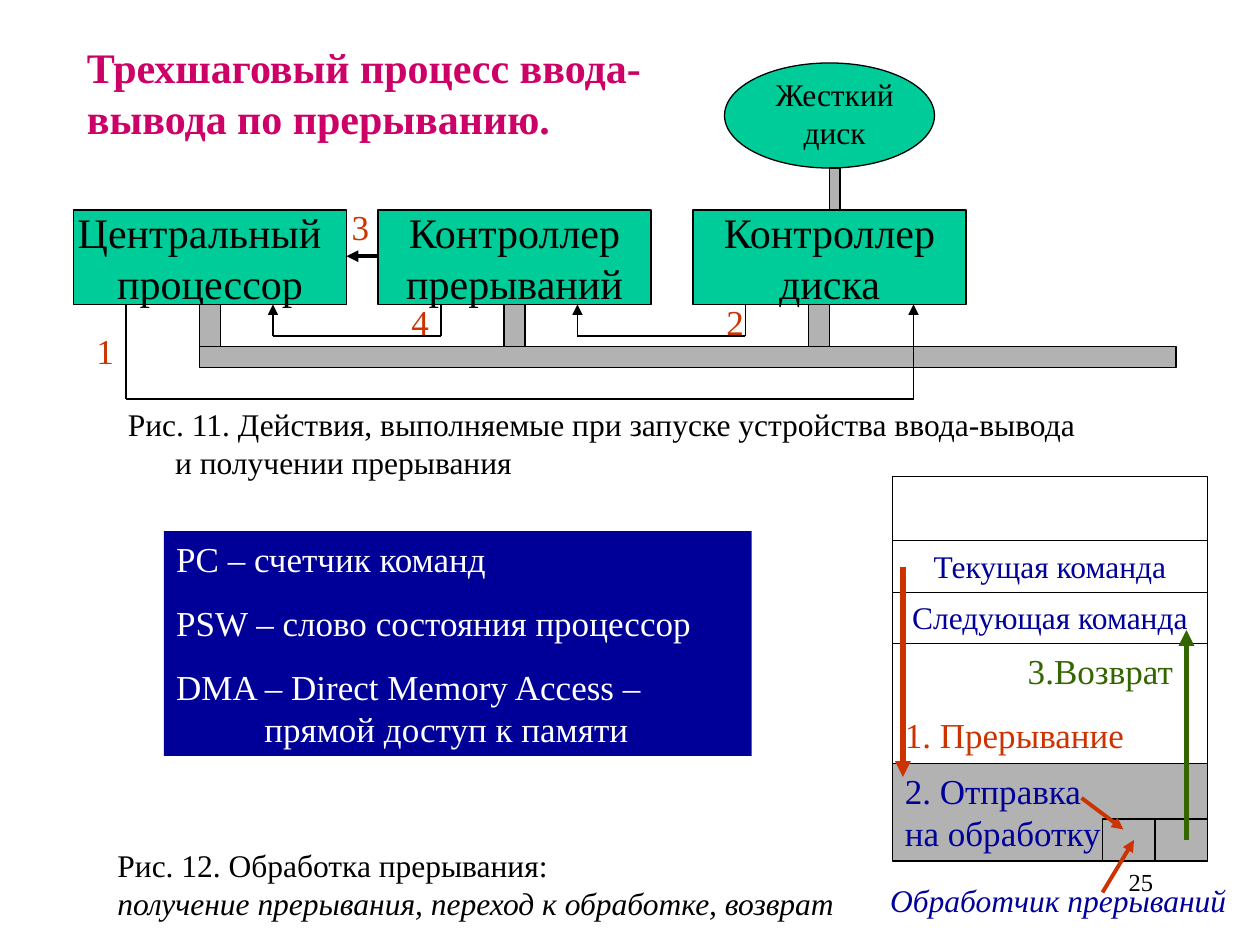
from dataclasses import dataclass
from itertools import pairwise

import pptx
import pptx.dml.color
import pptx.enum.shapes
import pptx.enum.text
import pptx.oxml
import pptx.oxml.ns
import pptx.util

COLUMNS, ROWS = 120, 90
FONT = "Times New Roman"
BLACK, WHITE, GRAY, GREEN = "000000", "FFFFFF", "B2B2B2", "00CC99"
RED, NAVY, OLIVE, CRIMSON = "CC3300", "000099", "336600", "CC0066"
RECT = pptx.enum.shapes.MSO_SHAPE.RECTANGLE
OVAL = pptx.enum.shapes.MSO_SHAPE.OVAL
LEFT = pptx.enum.text.PP_ALIGN.LEFT
CENTER = pptx.enum.text.PP_ALIGN.CENTER
RIGHT = pptx.enum.text.PP_ALIGN.RIGHT
TOP = pptx.enum.text.MSO_ANCHOR.TOP
MIDDLE = pptx.enum.text.MSO_ANCHOR.MIDDLE

deck = pptx.Presentation()
deck.slide_width = pptx.util.Inches(10)
deck.slide_height = pptx.util.Inches(7.5)
slide = deck.slides.add_slide(deck.slide_layouts[6])


@dataclass(frozen=True)
class Area:
    column: float
    row: float
    columns: float
    rows: float


@dataclass(frozen=True)
class Phrase:
    text: str
    size: float = 18
    color: str = BLACK
    align: int = LEFT
    before: float = 0
    indent: float = 0
    hanging: bool = False
    right: float = 0
    bold: bool = False
    italic: bool = False


@dataclass(frozen=True)
class Route:
    points: list[tuple[float, float]]
    color: str = BLACK
    width: float = 0.75


def across(columns: float) -> int:
    return round(deck.slide_width * columns / COLUMNS)


def down(rows: float) -> int:
    return round(deck.slide_height * rows / ROWS)


def place(area: Area) -> tuple[int, int, int, int]:
    return across(area.column), down(area.row), across(area.columns), down(area.rows)


def rgb(color: str) -> pptx.dml.color.RGBColor:
    return pptx.dml.color.RGBColor.from_string(color)


def write(frame, phrases: list[Phrase], anchor=TOP, inset: float = 0.1) -> None:
    frame.word_wrap = True
    frame.vertical_anchor = anchor
    frame.margin_left = frame.margin_right = pptx.util.Inches(inset)
    frame.margin_top = frame.margin_bottom = pptx.util.Inches(inset / 2)
    for index, phrase in enumerate(phrases):
        paragraph = frame.add_paragraph() if index else frame.paragraphs[0]
        paragraph.text = phrase.text
        paragraph.alignment = phrase.align
        paragraph.space_before = pptx.util.Pt(phrase.before)
        properties = paragraph._p.get_or_add_pPr()
        properties.set("marL", str(across(phrase.indent)))
        properties.set("marR", str(across(phrase.right)))
        properties.set("indent", str(-across(phrase.indent) if phrase.hanging else 0))
        font = paragraph.font
        font.name = FONT
        font.size = pptx.util.Pt(phrase.size)
        font.bold = phrase.bold
        font.italic = phrase.italic
        font.color.rgb = rgb(phrase.color)


def label(area: Area, *phrases: Phrase) -> None:
    write(slide.shapes.add_textbox(*place(area)).text_frame, list(phrases))


def block(area: Area, fill: str | None = None, phrases: list[Phrase] | None = None,
          kind=RECT, outlined: bool = True, anchor=TOP, inset: float = 0.1) -> None:
    shape = slide.shapes.add_shape(kind, *place(area))
    shape.shadow.inherit = False
    if fill:
        shape.fill.solid()
        shape.fill.fore_color.rgb = rgb(fill)
    else:
        shape.fill.background()
    if outlined:
        shape.line.color.rgb = rgb(BLACK)
        shape.line.width = pptx.util.Pt(0.75)
    else:
        shape.line.fill.background()
    if phrases:
        write(shape.text_frame, phrases, anchor, inset)


def draw(route: Route) -> None:
    for start, end in pairwise(route.points):
        line = slide.shapes.add_connector(
            pptx.enum.shapes.MSO_CONNECTOR.STRAIGHT,
            across(start[0]), down(start[1]), across(end[0]), down(end[1]))
        line.line.color.rgb = rgb(route.color)
        line.line.width = pptx.util.Pt(route.width)
        properties = line._element.spPr
        if end == route.points[-1]:
            head = pptx.oxml.parse_xml(
                f'<a:tailEnd {pptx.oxml.ns.nsdecls("a")} type="triangle"/>')
            line.line._get_or_add_ln().append(head)
        properties.append(pptx.oxml.parse_xml(
            f'<a:effectLst {pptx.oxml.ns.nsdecls("a")}/>'))


def loop(start: float, end: float, bottom: float) -> Route:
    return Route([(start, 29), (start, bottom), (end, bottom), (end, 29)])


def draw_devices() -> None:
    devices = [
        (7, "Центральный", "процессор", 2),
        (36, "Контроллер", "прерываний", 0),
        (66, "Контроллер", "диска", 0),
    ]
    for column, first, second, shift in devices:
        block(Area(column, 20, 26, 9), GREEN,
              [Phrase(first, 24, align=CENTER, right=shift),
               Phrase(second, 24, align=CENTER)], anchor=MIDDLE, inset=0)
    block(Area(69, 6, 20, 10), GREEN, kind=OVAL)
    label(Area(70, 6.6, 19, 8.4), Phrase("Жесткий диск", align=CENTER))
    block(Area(79, 16, 1, 4), GRAY)
    block(Area(19, 33, 93, 2), GRAY)
    for column in (19, 48, 77):
        block(Area(column, 29, 2, 4), GRAY)
    draw(Route([(36, 24.4), (33, 24.4)], width=2.25))
    for route in (loop(42, 26, 32), loop(71, 55, 32), loop(12, 87, 38)):
        draw(route)
    steps = [("1", 8, 30.8), ("2", 68, 28), ("3", 32.3, 19), ("4", 38, 28)]
    for step, column, row in steps:
        label(Area(column, row, 3, 5.3), Phrase(step, 20, RED))


def draw_memory() -> None:
    cells = [
        (6.1, None, []),
        (4.9, None, [Phrase("Текущая команда", 18, NAVY, CENTER)]),
        (4.9, None, [Phrase("Следующая команда", 18, NAVY, CENTER)]),
        (11.4, None, [Phrase("3.Возврат", 20, OLIVE, indent=11.7),
                      Phrase("1. Прерывание", 20, RED, before=12.5)]),
        (9.3, GRAY, [Phrase("2. Отправка\nна обработку", 20, NAVY)]),
    ]
    row = 45.4
    for rows, fill, phrases in cells:
        block(Area(85, row, 30, rows), fill, phrases)
        row += rows
    for column in (105, 110):
        block(Area(column, 78, 5, 4))
    label(Area(83.6, 83.3, 35.6, 4.8),
          Phrase("Обработчик прерываний", 18, NAVY, italic=True))
    for route in (
        Route([(103, 76), (107, 79)], RED, 2.25),
        Route([(105, 85), (108, 80)], RED, 2.25),
        Route([(86, 54), (86, 74)], RED, 3),
        Route([(113, 80), (113, 60)], OLIVE, 3),
    ):
        draw(route)


def draw_texts() -> None:
    label(Area(7.1, 3.4, 57.6, 10.8),
          Phrase("Трехшаговый процесс ввода-\nвывода по прерыванию.", 24, CRIMSON, bold=True))
    label(Area(11, 38, 101, 8.4),
          Phrase("Рис. 11. Действия, выполняемые при запуске устройства ввода-вывода\n"
                 "и получении прерывания", indent=4.5, hanging=True))
    block(Area(15.6, 50.6, 56, 21.4), NAVY,
          [Phrase("PC – счетчик команд", 20, WHITE),
           Phrase("PSW – слово состояния процессор", 20, WHITE, before=12.5),
           Phrase("DMA – Direct Memory Access –\nпрямой доступ к памяти", 20, WHITE,
                  before=12.5, indent=8.4, hanging=True)], outlined=False)
    label(Area(10, 80, 74, 8.4), Phrase("Рис. 12. Обработка прерывания:"),
          Phrase("получение прерывания, переход к обработке, возврат", italic=True))
    label(Area(86, 82, 25, 6), Phrase("25", 14, align=RIGHT))


draw_devices()
draw_memory()
draw_texts()
deck.save("out.pptx")
